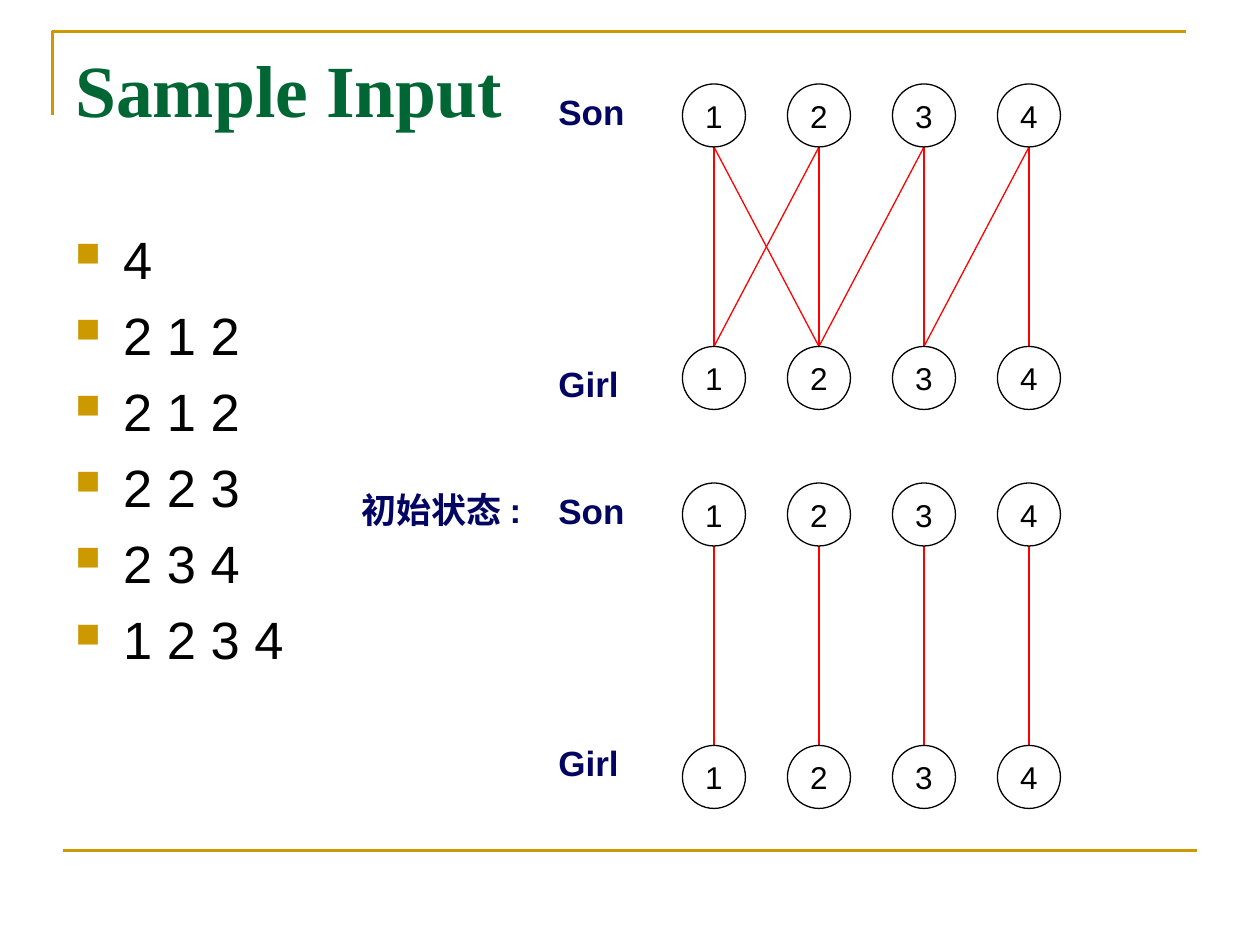
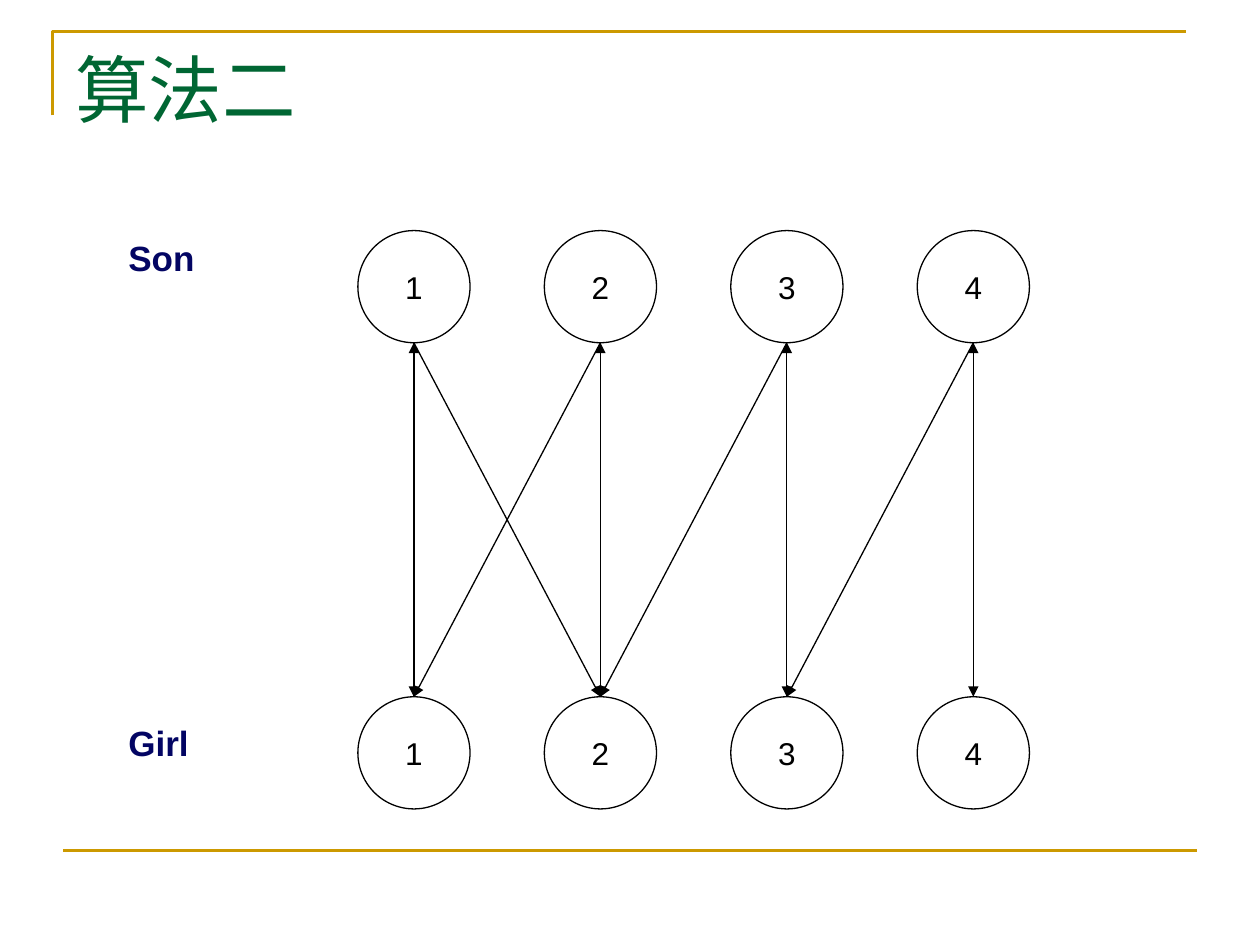
from dataclasses import dataclass

from lxml.etree import SubElement
from pptx import Presentation
from pptx.dml.color import RGBColor
from pptx.enum.shapes import MSO_CONNECTOR, MSO_SHAPE
from pptx.enum.text import MSO_ANCHOR, PP_ALIGN
from pptx.oxml.ns import qn
from pptx.util import Inches, Pt


@dataclass(frozen=True)
class Theme:
    gold: str = "CC9900"
    green: str = "006633"
    navy: str = "030563"
    red: str = "FF0000"
    black: str = "000000"
    white: str = "FFFFFF"
    title_font: str = "Times New Roman"
    body_font: str = "Arial"
    title_size: int = 42
    body_size: int = 30
    label_size: int = 20
    node_size: int = 18
    rule_width: float = 1.5
    edge_width: float = 0.75


T = Theme()
TITLE = dict(name=T.title_font, size=Pt(T.title_size))
BODY = dict(name=T.body_font, size=Pt(T.body_size))
LABEL = dict(name=T.body_font, size=Pt(T.label_size), bold=True)
NODE = dict(name=T.body_font, size=Pt(T.node_size))

NODE_COUNT = 4
STRAIGHT = [(i, i) for i in range(NODE_COUNT)]
CROSSED = [(0, 1), (1, 0), (2, 1), (3, 2)]


def rgb(color):
    return RGBColor.from_string(color)


def set_line(line, color, width):
    line.color.rgb = rgb(color)
    line.width = Pt(width)


def write(p, text, fmt, color):
    r = p.add_run()
    r.text = text
    for key, value in fmt.items():
        setattr(r.font, key, value)
    r.font.color.rgb = rgb(color)


def add_text(shapes, box, text, fmt, color):
    tf = shapes.add_textbox(*map(Inches, box)).text_frame
    tf.word_wrap = True
    write(tf.paragraphs[0], text, fmt, color)


def add_line(shapes, start, end, color, width=T.edge_width, arrow=False):
    cx = shapes.add_connector(MSO_CONNECTOR.STRAIGHT, *map(Inches, (*start, *end)))
    set_line(cx.line, color, width)
    if arrow:
        SubElement(cx.line._get_or_add_ln(), qn("a:tailEnd"), type="triangle")
    SubElement(cx._element.spPr, qn("a:effectLst"))


def add_node(shapes, x, y, size, text):
    sp = shapes.add_shape(MSO_SHAPE.OVAL, *map(Inches, (x, y, size, size)))
    sp.shadow.inherit = False
    sp.fill.solid()
    sp.fill.fore_color.rgb = rgb(T.white)
    set_line(sp.line, T.black, T.edge_width)
    tf = sp.text_frame
    tf.word_wrap = False
    tf.vertical_anchor = MSO_ANCHOR.MIDDLE
    p = tf.paragraphs[0]
    p.alignment = PP_ALIGN.CENTER
    write(p, text, NODE, T.black)


def add_frame(s, title, bold):
    """Gold corner, bottom rule and title shared by the slides."""
    left, top, right, bottom = map(Inches, (5 / 12, 0.25, 9 + 5 / 12, 11 / 12))
    fb = s.shapes.build_freeform(left, bottom)
    fb.add_line_segments([(left, top), (right, top)], close=False)
    corner = fb.convert_to_shape()
    corner.shadow.inherit = False
    corner.fill.background()
    set_line(corner.line, T.gold, T.rule_width)
    add_line(s.shapes, (0.5, 6.75), (9.5, 6.75), T.gold, T.rule_width)
    add_text(s.shapes, (0.5, 0.3, 9, 1.25), title, TITLE | dict(bold=bold), T.green)


def add_bullets(s, box, lines):
    """Text list with small gold squares."""
    tf = s.shapes.add_textbox(*map(Inches, box)).text_frame
    tf.word_wrap = True
    for i, line in enumerate(lines):
        p = tf.add_paragraph() if i else tf.paragraphs[0]
        p.space_before = Pt(7.5)
        pPr = p._p.get_or_add_pPr()
        pPr.set("marL", str(Inches(0.38)))
        pPr.set("indent", str(Inches(-0.38)))
        SubElement(SubElement(pPr, qn("a:buClr")), qn("a:srgbClr"), val=T.gold)
        SubElement(pPr, qn("a:buSzPct"), val="65000")
        SubElement(pPr, qn("a:buChar"), char="■")
        write(p, line, BODY, T.black)


def add_graph(s, box, label_column, node, girl_drop, edges, color, two_way=(), arrow=False):
    """Son row above Girl row, joined by (son, girl) edges."""
    x, y, w, h = box
    shapes = s.shapes.add_group_shape().shapes
    first = x + label_column
    pitch = (w - label_column - node) / (NODE_COUNT - 1)
    lefts = [first + i * pitch for i in range(NODE_COUNT)]
    girl_y = y + h - node
    sons = [(left + node / 2, y + node) for left in lefts]
    girls = [(left + node / 2, girl_y) for left in lefts]

    # Edges
    for son, girl in edges:
        add_line(shapes, sons[son], girls[girl], color, arrow=arrow)
    for son, girl in two_way:
        add_line(shapes, girls[girl], sons[son], color, arrow=arrow)

    # Nodes
    for row_y in (y, girl_y):
        for i, left in enumerate(lefts, 1):
            add_node(shapes, left, row_y, node, str(i))

    # Row labels, as wide as the space left of the nodes
    for label, drop in (("Son", 0), ("Girl", girl_drop)):
        add_text(shapes, (x, y + drop, label_column, 0.44), label, LABEL, T.navy)


def sample_slide(s):
    add_frame(s, "Sample Input", bold=True)
    add_bullets(s, (0.5, 1.75, 9, 4.95),
                ["4", "2 1 2", "2 1 2", "2 2 3", "2 3 4", "1 2 3 4"])
    # Both graphs sit on a grid of twelfths of an inch
    x, w, h = 4 + 1 / 3, 4 + 1 / 12, 2 + 7 / 12
    small = dict(label_column=13 / 12, node=0.5, color=T.red)
    add_graph(s, (x, 2 / 3, w, h), girl_drop=2.16, edges=STRAIGHT + CROSSED, **small)
    add_graph(s, (x, 3 + 5 / 6, w, h), girl_drop=2, edges=STRAIGHT, **small)
    add_text(s.shapes, (2.77, 3.83, 1.7, 0.44), "初始状态 :", LABEL, T.navy)


def algorithm_slide(s):
    add_frame(s, "算法二", bold=False)
    add_graph(s, (0.92, 1.83, 7.25, 4.59), label_column=1.92, node=0.89, girl_drop=3.85,
              edges=STRAIGHT + CROSSED, color=T.black, two_way=STRAIGHT, arrow=True)


def main():
    prs = Presentation()
    prs.slide_width, prs.slide_height = Inches(10), Inches(7.5)
    for build in (sample_slide, algorithm_slide):
        build(prs.slides.add_slide(prs.slide_layouts[6]))
    prs.save("out.pptx")


if __name__ == "__main__":
    main()
